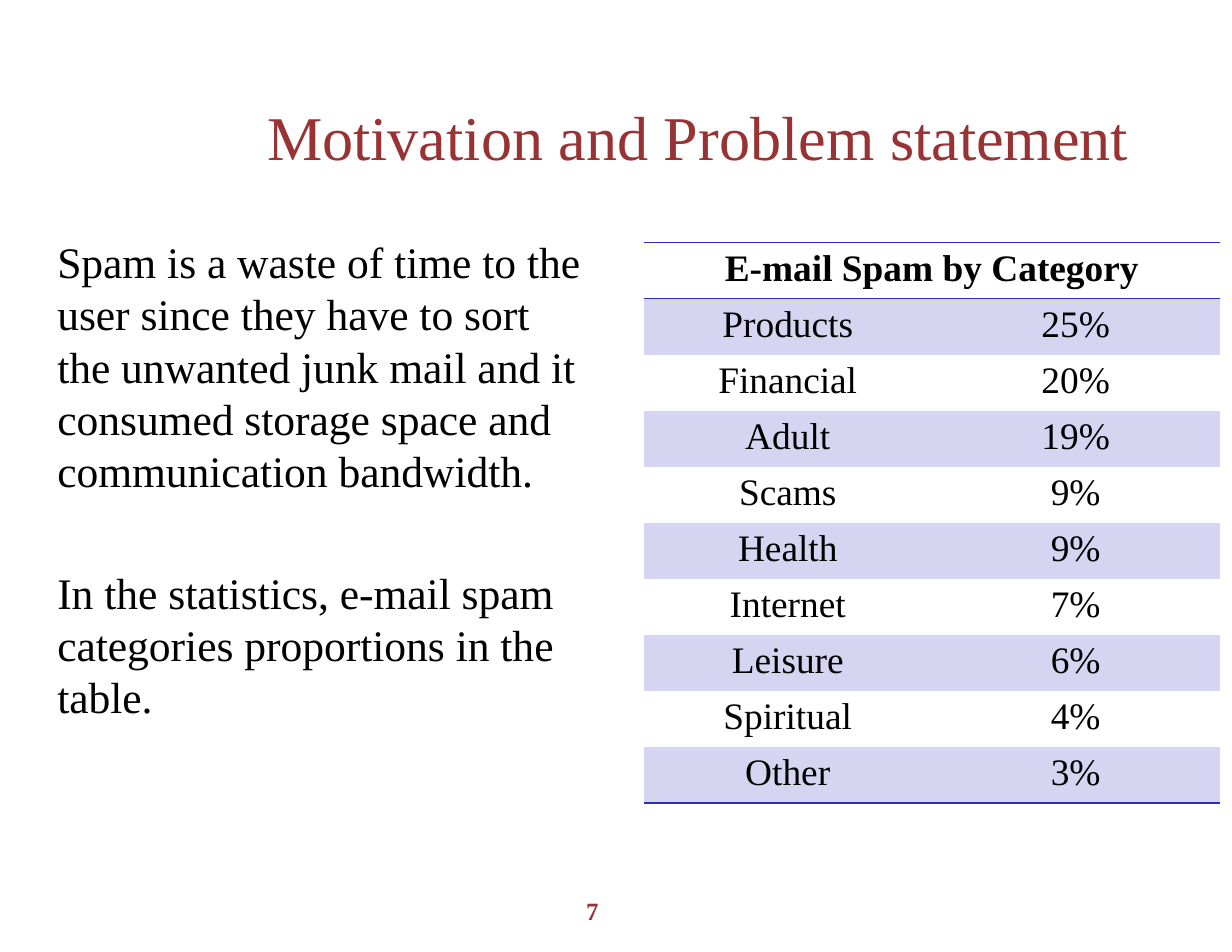
from dataclasses import dataclass

from lxml import etree
from pptx import Presentation
from pptx import util as u
from pptx.dml.color import RGBColor
from pptx.enum import text
from pptx.oxml.ns import qn


@dataclass(frozen=True)
class Theme:
    font: str = "Times New Roman"
    accent: str = "993333"
    ink: str = "000000"
    rule: str = "2D2DB9"
    band: str = "D5D5F1"
    title: int = 40
    body: int = 28
    table: int = 24
    number: int = 16
    plain: str = "{2D5ABB26-0587-4C30-8999-92F81FD0307C}"  # no style, no grid


class Deck:
    def __init__(self, theme, wide, high):
        self.theme = theme
        self.prs = Presentation()
        self.prs.slide_width, self.prs.slide_height = u.Cm(wide), u.Cm(high)
        self.slide = self.prs.slides.add_slide(self.prs.slide_layouts[6])

    def style(self, para, size, color, bold=False, align=text.PP_ALIGN.CENTER):
        para.alignment = align
        for run in para.runs:
            run.font.name = self.theme.font
            run.font.size = u.Pt(size)
            run.font.bold = bold
            run.font.color.rgb = RGBColor.from_string(color)

    def box(self, place, words, pad=(0.28, 0.15, 0.28, 0.15)):
        frame = self.slide.shapes.add_textbox(*map(u.Cm, place)).text_frame
        frame.word_wrap = True
        (frame.margin_left, frame.margin_top,
         frame.margin_right, frame.margin_bottom) = map(u.Cm, pad)
        frame.text = words
        return frame

    def label(self, place, words, size, bold=False):
        frame = self.box(place, words)
        frame.vertical_anchor = text.MSO_ANCHOR.MIDDLE
        self.style(frame.paragraphs[0], size, self.theme.accent, bold)

    def body(self, place, paras, gaps):
        frame = self.box(place, "\n".join(paras), (0.13, 0.05, 0.05, 0.05))
        for para, gap in zip(frame.paragraphs, gaps):
            para.line_spacing = u.Pt(1.2 * self.theme.body)
            para.space_before = u.Pt(gap)
            self.style(para, self.theme.body, self.theme.ink,
                       align=text.PP_ALIGN.LEFT)

    def border(self, cell, side):
        props = cell._tc.get_or_add_tcPr()
        line = etree.SubElement(props, qn(f"a:ln{side}"), w=str(u.Pt(1)))
        fill = etree.SubElement(line, qn("a:solidFill"))
        etree.SubElement(fill, qn("a:srgbClr"), val=self.theme.rule)

    def table(self, place, head, rows):
        grid = [(head, "")] + rows
        shape = self.slide.shapes.add_table(len(grid), 2, *map(u.Cm, place))
        table = shape.table
        table._tbl.tblPr.find(qn("a:tableStyleId")).text = self.theme.plain
        table.cell(0, 0).merge(table.cell(0, 1))
        for i, row in enumerate(grid):
            sides = "TB" if i == 0 else "B" if i == len(rows) else ""
            for j, words in enumerate(row):
                cell = table.cell(i, j)
                for side in sides:
                    self.border(cell, side)
                if i % 2:
                    cell.fill.solid()
                    cell.fill.fore_color.rgb = RGBColor.from_string(self.theme.band)
                else:
                    cell.fill.background()
                cell.text_frame.text = words
                self.style(cell.text_frame.paragraphs[0], self.theme.table,
                           self.theme.ink, bold=i == 0)


def main():
    theme = Theme()
    deck = Deck(theme, 27.94, 21.59)

    # Title and page number
    deck.label((4.88, 2.13, 21.89, 1.9), "Motivation and Problem statement",
               theme.title)
    deck.label((11.43, 20.12, 4.01, 1.04), "7", theme.number, bold=True)

    # Text on the left
    deck.body((1.17, 5.28, 12.17, 14.83), [
        "Spam is a waste of time to the user since they have to sort the "
        "unwanted junk mail and it consumed storage space and "
        "communication bandwidth.",
        "In the statistics, e-mail spam categories proportions in the table.",
    ], gaps=(5.6, 44.8))

    # Spam shares on the right
    deck.table((14.6, 5.5, 13.06, 12.5), "E-mail Spam by Category", [
        ("Products", "25%"), ("Financial", "20%"), ("Adult", "19%"),
        ("Scams", "9%"), ("Health", "9%"), ("Internet", "7%"),
        ("Leisure", "6%"), ("Spiritual", "4%"), ("Other", "3%"),
    ])

    deck.prs.save("out.pptx")


if __name__ == "__main__":
    main()
